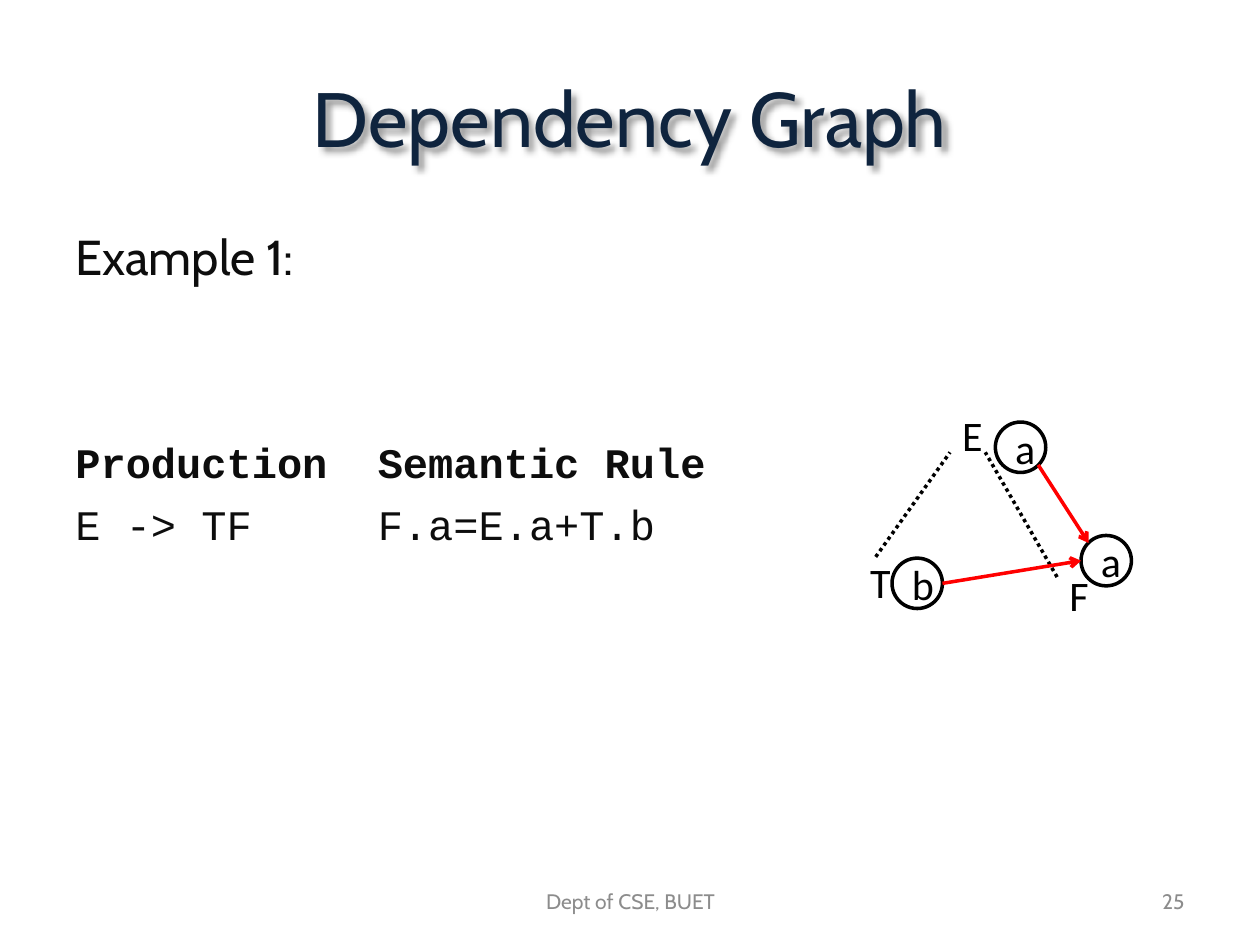
from lxml.etree import SubElement
from pptx import Presentation
from pptx.dml.color import RGBColor
from pptx.enum.dml import MSO_LINE
from pptx.enum.shapes import MSO_CONNECTOR, MSO_SHAPE
from pptx.enum.text import MSO_ANCHOR, PP_ALIGN
from pptx.oxml.ns import qn
from pptx.util import Inches, Pt

BLACK, WHITE, RED = "000000", "FFFFFF", "FF0000"
NAVY, INK, GREY = "0F243E", "0D0D0D", "8C8C8C"
NODE_SIZE = 0.4


def color(value):
    return RGBColor.from_string(value)


def format_text(para, font, size, value, align=PP_ALIGN.LEFT, bold=False):
    para.alignment = align
    for span in para.runs:
        span.font.name = font
        span.font.size = Pt(size)
        span.font.bold = bold
        span.font.color.rgb = color(value)


def add_soft_shadow(shape):
    effects = SubElement(shape._element.spPr, qn("a:effectLst"))
    shadow = SubElement(effects, qn("a:outerShdw"), blurRad=str(Inches(0.05)),
                        dist=str(Inches(0.04)), dir="2700000", algn="tl")
    black = SubElement(shadow, qn("a:srgbClr"), val=BLACK)
    SubElement(black, qn("a:alpha"), val="40000")


def add_title(page, text):
    title = page.shapes.title
    title.left, title.top = Inches(0.5), Inches(0.3)
    title.width, title.height = Inches(9), Inches(1.25)
    title.text_frame.text = text
    title.text_frame.vertical_anchor = MSO_ANCHOR.MIDDLE
    format_text(title.text_frame.paragraphs[0], "Cabin", 44, NAVY, PP_ALIGN.CENTER)
    add_soft_shadow(title)


def add_text_box(page, left, top, width, height):
    box = page.shapes.add_textbox(Inches(left), Inches(top), Inches(width), Inches(height))
    box.text_frame.word_wrap = True
    return box.text_frame


def add_body(page, heading, rows):
    frame = add_text_box(page, 0.5, 1.75, 9, 4.95)
    frame.text = heading
    format_text(frame.paragraphs[0], "Cabin", 28, INK)
    # Two columns, aligned by a tab stop
    for index, row in enumerate(rows):
        para = frame.add_paragraph()
        para.text = "\t".join(row)
        tabs = SubElement(para._p.get_or_add_pPr(), qn("a:tabLst"))
        SubElement(tabs, qn("a:tab"), pos=str(Inches(2.4)), algn="l")
        para.space_before = Pt(7 if index else 86)
        format_text(para, "Courier New", 24, INK, bold=index == 0)


def add_footer(page, left, width, text, align):
    frame = add_text_box(page, left, 6.95, width, 0.4)
    frame.vertical_anchor = MSO_ANCHOR.MIDDLE
    frame.text = text
    format_text(frame.paragraphs[0], "Cabin", 12, GREY, align)


def add_node(page, left, top, text, outline, fill=WHITE):
    node = page.shapes.add_shape(MSO_SHAPE.OVAL, Inches(left), Inches(top),
                                 Inches(NODE_SIZE), Inches(NODE_SIZE))
    node.shadow.inherit = False
    if fill:
        node.fill.solid()
        node.fill.fore_color.rgb = color(fill)
    else:
        node.fill.background()
    node.line.color.rgb = color(outline)
    node.line.width = Pt(2)
    node.text_frame.text = text
    node.text_frame.vertical_anchor = MSO_ANCHOR.MIDDLE
    format_text(node.text_frame.paragraphs[0], "Calibri", 24, BLACK, PP_ALIGN.CENTER)


def add_line(page, start, end, value):
    line = page.shapes.add_connector(MSO_CONNECTOR.STRAIGHT,
                                     *map(Inches, start), *map(Inches, end))
    line.line.color.rgb = color(value)
    line.line.width = Pt(2)
    SubElement(line._element.spPr, qn("a:effectLst"))
    return line


def add_tree_edge(page, start, end):
    add_line(page, start, end, BLACK).line.dash_style = MSO_LINE.ROUND_DOT


def add_dependency(page, start, end):
    arrow = add_line(page, start, end, RED)
    SubElement(arrow.line._get_or_add_ln(), qn("a:tailEnd"), type="arrow")


def main():
    deck = Presentation()
    deck.slide_width, deck.slide_height = Inches(10), Inches(7.5)
    page = deck.slides.add_slide(deck.slide_layouts[5])

    add_title(page, "Dependency Graph")
    add_body(page, "Example 1:", [("Production", "Semantic Rule"),
                                  ("E -> TF", "F.a=E.a+T.b")])
    add_footer(page, 3.42, 3.17, "Dept of CSE, BUET", PP_ALIGN.CENTER)
    add_footer(page, 7.17, 2.33, "25", PP_ALIGN.RIGHT)

    # Parse tree
    for left, top, symbol in [(7.48, 3.25, "E"), (6.75, 4.42, "T"), (8.33, 4.52, "F")]:
        add_node(page, left, top, symbol, WHITE)
    add_tree_edge(page, (6.95, 4.42), (7.54, 3.59))
    add_tree_edge(page, (8.39, 4.58), (7.82, 3.59))

    # Attributes and their dependencies
    add_node(page, 7.9, 3.35, "a", BLACK)
    add_node(page, 7.08, 4.43, "b", BLACK, fill=None)
    add_node(page, 8.58, 4.25, "a", BLACK)
    add_dependency(page, (7.48, 4.63), (8.58, 4.45))
    add_dependency(page, (8.24, 3.69), (8.64, 4.31))

    deck.save("out.pptx")


if __name__ == "__main__":
    main()
